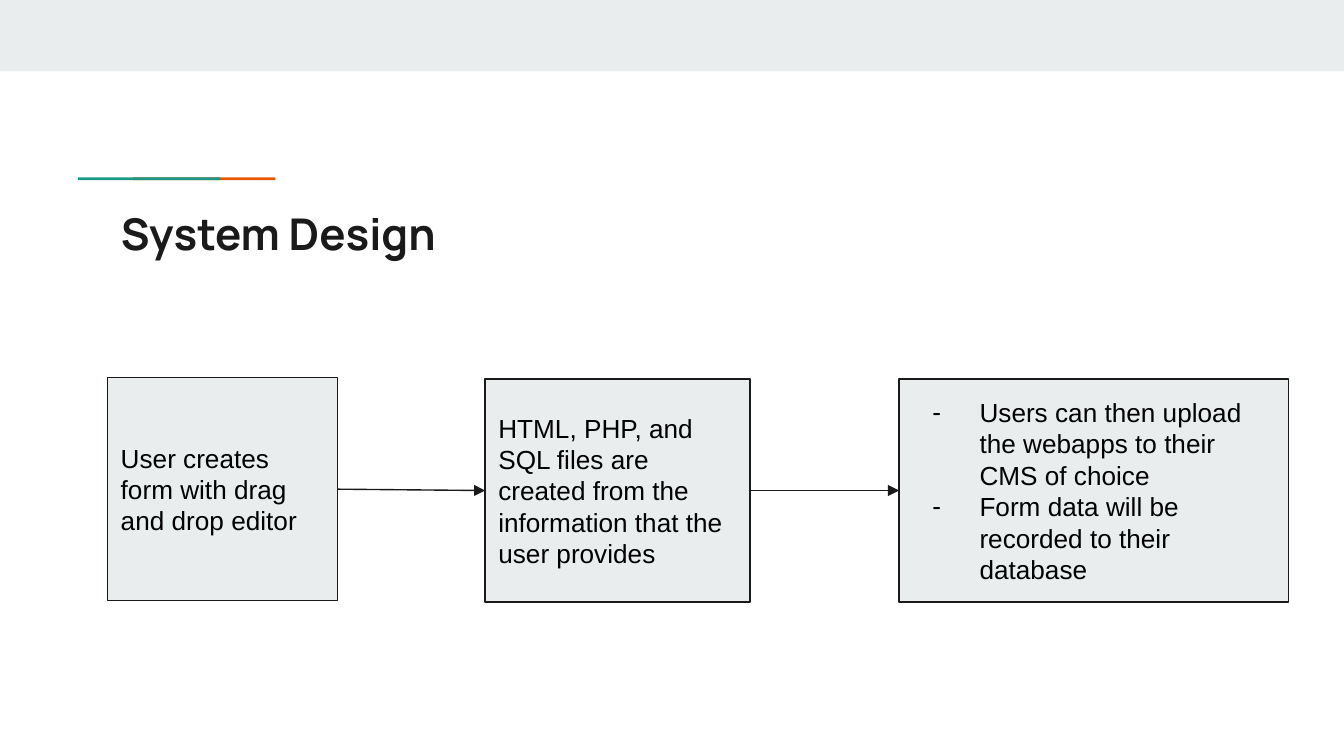
from lxml import etree
from pptx import Presentation
from pptx.dml.color import RGBColor
from pptx.enum.shapes import MSO_CONNECTOR, MSO_SHAPE
from pptx.enum.text import MSO_ANCHOR, MSO_AUTO_SIZE, PP_ALIGN
from pptx.oxml.ns import qn
from pptx.util import Inches, Pt

RECTANGLE = MSO_SHAPE.RECTANGLE
STRAIGHT = MSO_CONNECTOR.STRAIGHT
LEFT = PP_ALIGN.LEFT
TOP, MIDDLE = MSO_ANCHOR.TOP, MSO_ANCHOR.MIDDLE
NO_AUTOFIT = MSO_AUTO_SIZE.NONE
LEFT_SIDE, RIGHT_SIDE = 1, 3

COLORS = {
    "panel": "E9EDEE",
    "ink": "1A1A1A",
    "text": "000000",
    "teal": "1A9988",
    "orange": "EB5600",
}
SLIDE_WIDTH = 10
STEP_HEIGHT = 1.66
# left, top, width, paragraphs, bulleted
STEPS = [
    (0.8, 2.81, 1.71, ["User creates form with drag and drop editor"], False),
    (3.61, 2.82, 1.97,
     ["HTML, PHP, and SQL files are created from the information that the user provides"],
     False),
    (6.69, 2.82, 2.9,
     ["Users can then upload the webapps to their CMS of choice",
      "Form data will be recorded to their database"], True),
]


def color(name):
    return RGBColor.from_string(COLORS[name])


def add_panel(slide, left, top, width, height, fill):
    panel = slide.shapes.add_shape(
        RECTANGLE, Inches(left), Inches(top), Inches(width), Inches(height))
    panel.shadow.inherit = False
    panel.fill.solid()
    panel.fill.fore_color.rgb = color(fill)
    panel.line.fill.background()
    return panel


def format_frame(frame, anchor):
    frame.word_wrap = True
    frame.auto_size = NO_AUTOFIT
    frame.vertical_anchor = anchor
    frame.margin_left = frame.margin_right = Inches(0.1)
    frame.margin_top = frame.margin_bottom = Inches(0.1)


def format_paragraph(paragraph, font_name, size, font_color, bold=False):
    paragraph.alignment = LEFT
    paragraph.font.name = font_name
    paragraph.font.size = Pt(size)
    paragraph.font.bold = bold
    paragraph.font.color.rgb = color(font_color)


def add_dash_bullet(paragraph):
    properties = paragraph._p.get_or_add_pPr()
    properties.set("marL", str(Inches(0.5)))
    properties.set("indent", str(Inches(-0.35)))
    properties.insert(0, etree.Element(qn("a:buFont"), typeface="Arial"))
    properties.insert(1, etree.Element(qn("a:buChar"), char="-"))


def set_title(slide, text):
    title = slide.shapes.title
    title.left, title.top = Inches(0.8), Inches(1.44)
    title.width, title.height = Inches(8.41), Inches(0.59)
    title.text_frame.text = text
    format_frame(title.text_frame, TOP)
    format_paragraph(title.text_frame.paragraphs[0], "Manrope", 23.4, "ink", bold=True)


def add_step(slide, left, top, width, lines, bulleted):
    step = add_panel(slide, left, top, width, STEP_HEIGHT, "panel")
    step.line.color.rgb = color("ink")
    step.line.width = Pt(0.75)
    frame = step.text_frame
    format_frame(frame, MIDDLE)
    frame.text = "\n".join(lines)
    for paragraph in frame.paragraphs:
        format_paragraph(paragraph, "Arial", 14, "text")
        if bulleted:
            add_dash_bullet(paragraph)
    return step


def add_arrow(slide, source, target):
    arrow = slide.shapes.add_connector(STRAIGHT, 0, 0, 0, 0)
    arrow.begin_connect(source, RIGHT_SIDE)
    arrow.end_connect(target, LEFT_SIDE)
    arrow.line.color.rgb = color("ink")
    arrow.line.width = Pt(0.75)
    properties = arrow._element.spPr
    etree.SubElement(properties.find(qn("a:ln")), qn("a:tailEnd"), type="triangle")
    etree.SubElement(properties, qn("a:effectLst"))


def main():
    presentation = Presentation()
    presentation.slide_width = Inches(SLIDE_WIDTH)
    presentation.slide_height = Inches(SLIDE_WIDTH * 9 / 16)
    slide = presentation.slides.add_slide(presentation.slide_layouts[5])

    add_panel(slide, 0, 0, SLIDE_WIDTH, 0.53, "panel")
    # The teal accent overlaps the orange one
    for left, accent in ((0.99, "orange"), (0.58, "teal")):
        add_panel(slide, left, 1.32, 1.06, 0.02, accent)
    set_title(slide, "System Design")

    steps = [add_step(slide, *step) for step in STEPS]
    for source, target in zip(steps, steps[1:]):
        add_arrow(slide, source, target)

    presentation.save("out.pptx")


if __name__ == "__main__":
    main()
